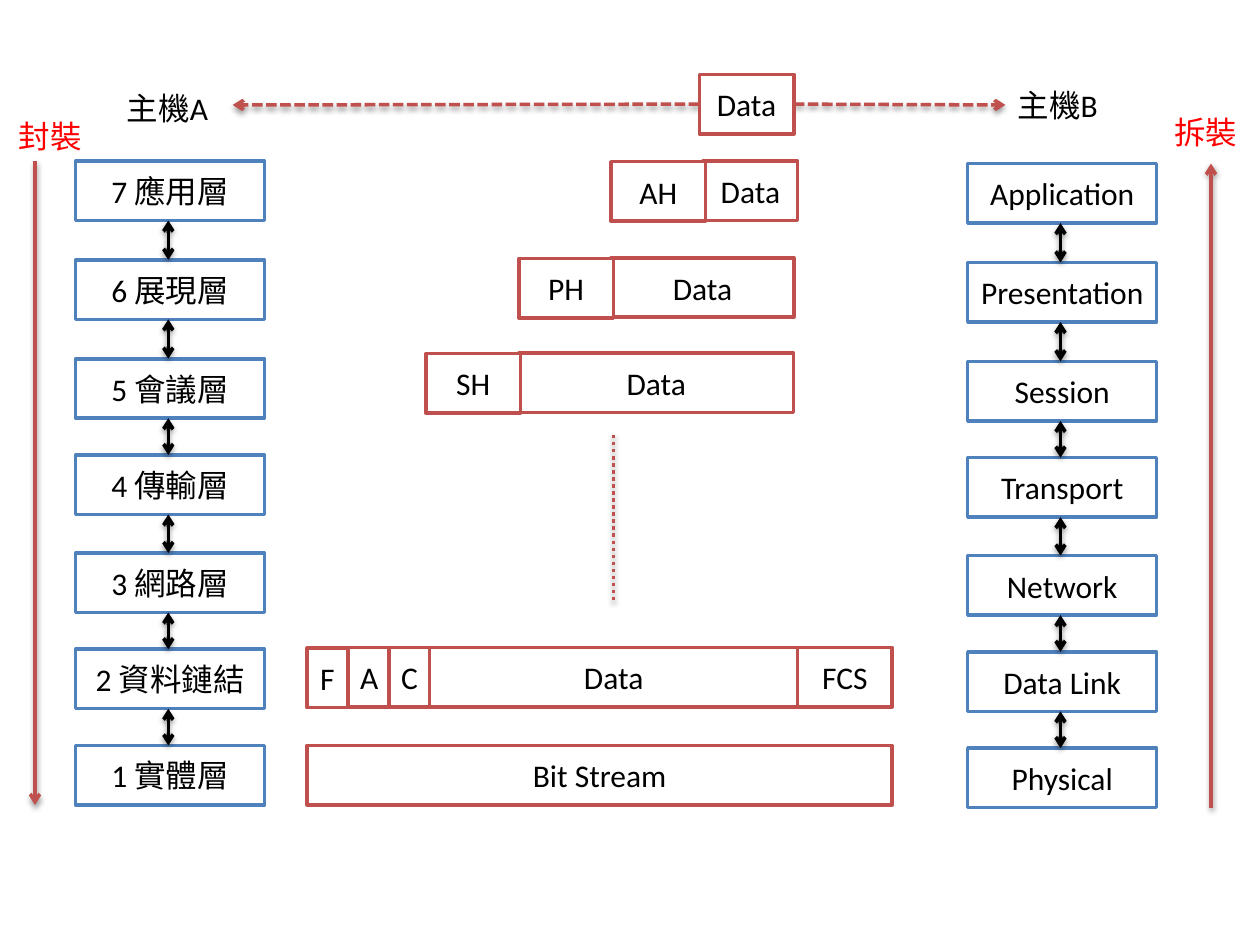
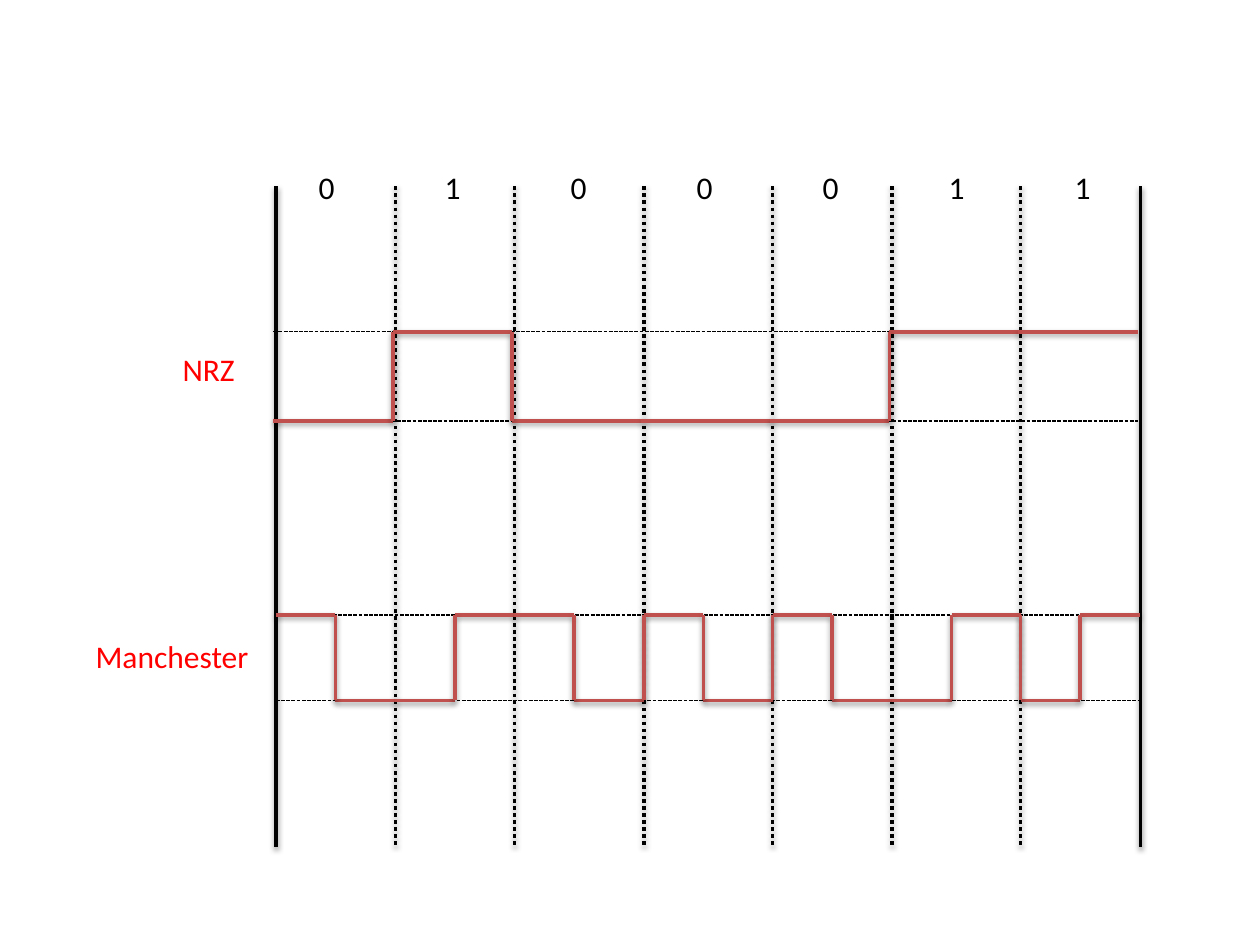
from dataclasses import dataclass
from itertools import pairwise

from lxml import etree
from pptx import Presentation
from pptx.dml.color import RGBColor
from pptx.enum.dml import MSO_LINE
from pptx.enum.shapes import MSO_CONNECTOR, MSO_SHAPE
from pptx.enum.text import MSO_ANCHOR, MSO_AUTO_SIZE, PP_ALIGN
from pptx.oxml.ns import qn
from pptx.util import Pt

RECTANGLE = MSO_SHAPE.RECTANGLE
STRAIGHT = MSO_CONNECTOR.STRAIGHT
DASHED = MSO_LINE.SQUARE_DOT
DOTTED = MSO_LINE.ROUND_DOT
MIDDLE = MSO_ANCHOR.MIDDLE
CENTER = PP_ALIGN.CENTER
GROW = MSO_AUTO_SIZE.SHAPE_TO_FIT_TEXT

BLACK, WHITE, RED = "000000", "FFFFFF", "FF0000"
BLUE, BRICK = "4F81BD", "C0504D"
FONT = {"name": "Calibri", "size": Pt(18)}

BOX_HEIGHT = 34
LABEL_HEIGHT = 29
LAYER_WIDTH = 108
LAYER_TOPS = (92, 148.5, 205, 260, 316, 371, 426)

BITS = (0, 1, 0, 0, 0, 1, 1)
BIT_EDGES = (157.7, 226, 294, 368, 441.5, 509.8, 583.2, 651.6)
HALF_BIT = 34
GRID_TOP, GRID_BOTTOM = 106.5, 484


@dataclass(frozen=True)
class Box:
    text: str
    left: float
    top: float
    width: float
    border: str = BRICK


@dataclass(frozen=True)
class Label:
    text: str
    left: float
    top: float
    width: float
    color: str = BLACK


@dataclass(frozen=True)
class Line:
    start: tuple[float, float]
    end: tuple[float, float]
    color: str = BRICK
    weight: float = 2
    dash: MSO_LINE | None = None
    heads: tuple[str, ...] = ()
    shadow: bool = True


@dataclass(frozen=True)
class Stack:
    """The seven layers of one host, from top to bottom."""
    names: tuple[str, ...]
    left: float
    drop: float


@dataclass(frozen=True)
class Signal:
    name: Label
    levels: tuple[int, ...]
    edges: tuple[float, ...]
    high: float
    low: float


STACKS = (
    Stack(("7 應用層", "6 展現層", "5 會議層", "4 傳輸層", "3 網路層",
           "2 資料鏈結", "1 實體層"), 43.2, 0),
    Stack(("Application", "Presentation", "Session", "Transport", "Network",
           "Data Link", "Physical"), 553, 1.5),
)

HOST_LABELS = (
    Label("主機A", 65.5, 47.5, 97),
    Label("封裝", 3.6, 63.4, 57, RED),
    Label("主機B", 574.5, 45.5, 97),
    Label("拆裝", 663.8, 61.2, 57, RED),
)

PACKET_BOXES = (
    Box("Data", 399.6, 42.5, 54),
    Box("Data", 401.8, 92, 54),
    Box("AH", 349.2, 92.4, 54),
    Box("Data", 349.2, 147.3, 104.4),
    Box("PH", 296.5, 147.7, 54),
    Box("Data", 296.5, 201.7, 157),
    Box("SH", 243.4, 202, 54),
    Box("Data", 245.5, 370, 210.3),
    Box("F", 175.5, 370.4, 23.3),
    Box("C", 222.2, 370, 23.3),
    Box("A", 198.8, 370, 23.3),
    Box("FCS", 455.8, 370, 54),
    Box("Bit Stream", 175.5, 426, 334.3),
)

FLOW_LINES = (
    Line((20, 92), (20, 460), heads=("tailEnd",)),
    Line((692, 461.5), (692, 93.5), heads=("tailEnd",)),
    Line((399.6, 59.5), (133, 60), dash=DASHED, heads=("tailEnd",)),
    Line((453.6, 59.5), (574.5, 60), dash=DASHED, heads=("tailEnd",)),
    Line((350.5, 248.5), (350.5, 343.5), dash=DOTTED),
)

SIGNALS = (
    Signal(Label("NRZ", 97.2, 196.6, 45.5, RED), BITS,
           tuple(edge - 1.5 for edge in BIT_EDGES), 189.6, 240.5),
    Signal(Label("Manchester", 47.5, 360.7, 107.3, RED),
           tuple(level for bit in BITS for level in (1 - bit, bit)),
           tuple(x for edge in BIT_EDGES for x in (edge, edge + HALF_BIT))[:-1],
           351.4, 400.3),
)


def rgb(color: str) -> RGBColor:
    return RGBColor.from_string(color)


def write_text(frame, text: str, color: str):
    para = frame.paragraphs[0]
    span = para.add_run()
    span.text = text
    for name, value in FONT.items():
        setattr(span.font, name, value)
    span.font.color.rgb = rgb(color)
    return para


def draw_box(page, box: Box) -> None:
    shape = page.shapes.add_shape(RECTANGLE, Pt(box.left), Pt(box.top),
                                  Pt(box.width), Pt(BOX_HEIGHT))
    shape.shadow.inherit = False
    shape.fill.solid()
    shape.fill.fore_color.rgb = rgb(WHITE)
    shape.line.color.rgb = rgb(box.border)
    shape.line.width = Pt(2)
    shape.text_frame.vertical_anchor = MIDDLE
    write_text(shape.text_frame, box.text, BLACK).alignment = CENTER


def draw_label(page, label: Label):
    shape = page.shapes.add_textbox(Pt(label.left), Pt(label.top),
                                    Pt(label.width), Pt(LABEL_HEIGHT))
    shape.text_frame.word_wrap = True
    shape.text_frame.auto_size = GROW
    return write_text(shape.text_frame, label.text, label.color)


def add_effects(properties, shadow: bool) -> None:
    """Give a soft shadow below, or an empty list that removes it."""
    effects = etree.SubElement(properties, qn("a:effectLst"))
    if shadow:
        outer = etree.SubElement(effects, qn("a:outerShdw"), blurRad=str(Pt(3.1)),
                                 dist=str(Pt(1.6)), dir="5400000", rotWithShape="0")
        tint = etree.SubElement(outer, qn("a:srgbClr"), val=BLACK)
        etree.SubElement(tint, qn("a:alpha"), val="38000")


def draw_line(page, line: Line) -> None:
    points = (Pt(value) for value in (*line.start, *line.end))
    connector = page.shapes.add_connector(STRAIGHT, *points)
    connector.line.color.rgb = rgb(line.color)
    connector.line.width = Pt(line.weight)
    if line.dash is not None:
        connector.line.dash_style = line.dash
    properties = connector._element.spPr
    outline = properties.find(qn("a:ln"))
    for head in line.heads:
        etree.SubElement(outline, qn(f"a:{head}"), type="arrow")
    add_effects(properties, line.shadow)


def draw_stack(page, stack: Stack) -> None:
    tops = [top + stack.drop for top in LAYER_TOPS]
    for name, top in zip(stack.names, tops):
        draw_box(page, Box(name, stack.left, top, LAYER_WIDTH, BLUE))
    middle = stack.left + LAYER_WIDTH / 2 - 1
    for upper, lower in pairwise(tops):
        draw_line(page, Line((middle, upper + BOX_HEIGHT), (middle, lower), BLACK,
                             heads=("headEnd", "tailEnd")))


def draw_bit_grid(page) -> None:
    para = draw_label(page, Label("\t".join(map(str, BITS)), 175, 92.5, 502))
    para._p.get_or_add_pPr().set("defTabSz", str(Pt(72)))
    for edge in BIT_EDGES:
        outer = edge in (BIT_EDGES[0], BIT_EDGES[-1])
        draw_line(page, Line((edge, GRID_TOP), (edge, GRID_BOTTOM), BLACK,
                             dash=None if outer else DOTTED))


def draw_signal(page, signal: Signal) -> None:
    draw_label(page, signal.name)
    for y in (signal.high, signal.low):
        draw_line(page, Line((signal.edges[0], y), (signal.edges[-1], y), BLACK,
                             0.75, DASHED, shadow=False))
    heights = [signal.high if level else signal.low for level in signal.levels]
    for (start, end), y in zip(pairwise(signal.edges), heights):
        draw_line(page, Line((start, y), (end, y)))
    for x, (before, after) in zip(signal.edges[1:], pairwise(heights)):
        if before != after:
            draw_line(page, Line((x, min(before, after)), (x, max(before, after))))


def build_layers_page(page) -> None:
    for stack in STACKS:
        draw_stack(page, stack)
    for label in HOST_LABELS:
        draw_label(page, label)
    for line in FLOW_LINES:
        draw_line(page, line)
    for box in PACKET_BOXES:
        draw_box(page, box)


def build_encoding_page(page) -> None:
    draw_bit_grid(page)
    for signal in SIGNALS:
        draw_signal(page, signal)


def main() -> None:
    deck = Presentation()
    deck.slide_width, deck.slide_height = Pt(720), Pt(540)
    blank = deck.slide_layouts[6]
    for build in (build_layers_page, build_encoding_page):
        build(deck.slides.add_slide(blank))
    deck.save("out.pptx")


if __name__ == "__main__":
    main()
